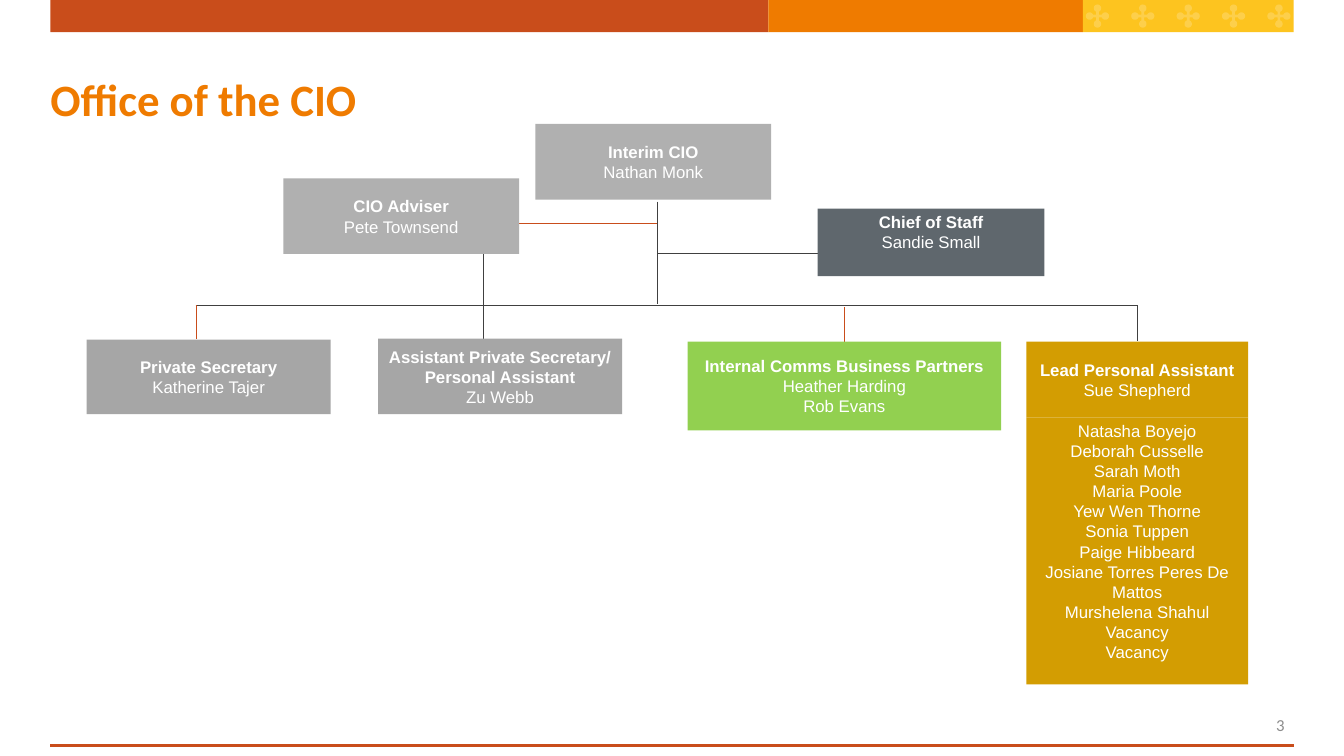
import math
from dataclasses import dataclass

from lxml import etree
from pptx import Presentation
from pptx import util as u
from pptx.dml.color import RGBColor
from pptx.enum import shapes, text
from pptx.oxml import ns

RUST = RGBColor(0xC9, 0x4D, 0x1B)
ORANGE = RGBColor(0xEF, 0x7B, 0x00)
YELLOW = RGBColor(0xFD, 0xC4, 0x1F)
WHITE = RGBColor(0xFF, 0xFF, 0xFF)
SILVER = RGBColor(0xB0, 0xB0, 0xB0)
GREY = RGBColor(0xA6, 0xA6, 0xA6)
NUMBER_GREY = RGBColor(0x8C, 0x8C, 0x8C)
SLATE = RGBColor(0x5F, 0x67, 0x6D)
LINE_GREY = RGBColor(0x40, 0x40, 0x40)
GREEN = RGBColor(0x92, 0xD0, 0x50)
GOLD = RGBColor(0xD3, 0x9D, 0x02)

GRID = u.Inches(0.01)  # one column or row of the page grid
PAGE_COLUMNS, PAGE_ROWS = 1333, 750
MARGIN, CONTENT_COLUMNS = 50, 1233


@dataclass
class Box:
    """A region measured in grid columns and rows."""
    left: float
    top: float
    width: float
    height: float

    def inner(self, column, row, columns, rows):
        return Box(self.left + column, self.top + row, columns, rows)

    def lengths(self):
        return [round(v * GRID) for v in (self.left, self.top, self.width, self.height)]


def add_text(frame, lines, size=12, font="Arial", color=WHITE, bold_lines=0,
             align=text.PP_ALIGN.CENTER, anchor=text.MSO_ANCHOR.MIDDLE):
    """Write one paragraph per line; the first bold_lines are bold."""
    frame.word_wrap = True
    frame.vertical_anchor = anchor
    for index, line in enumerate(lines):
        para = frame.paragraphs[0] if index == 0 else frame.add_paragraph()
        para.alignment = align
        span = para.add_run()
        span.text = line
        span.font.size = u.Pt(size)
        span.font.name = font
        span.font.bold = index < bold_lines
        span.font.color.rgb = color


def paint(shape, color):
    shape.shadow.inherit = False
    shape.fill.solid()
    shape.fill.fore_color.rgb = color
    shape.line.fill.background()


def add_block(page, box, color):
    block = page.shapes.add_shape(shapes.MSO_SHAPE.RECTANGLE, *box.lengths())
    paint(block, color)
    return block


def add_line(page, box, color, width=0.5):
    """Draw a straight line from the box's top left to its bottom right."""
    left, top, across, down = box.lengths()
    line = page.shapes.add_connector(
        shapes.MSO_CONNECTOR.STRAIGHT, left, top, left + across, top + down)
    line.line.color.rgb = color
    line.line.width = u.Pt(width)
    etree.SubElement(line._element.spPr, ns.qn("a:effectLst"))


def add_cross(page, center_x, center_y, reach=7.8, radius=3.7, arm=1.3):
    """Draw a pale cross whose four arms end in round lobes."""
    gap = math.asin(arm / radius)
    steps = 16
    points = []
    for quarter in range(4):
        turn = quarter * math.pi / 2
        lobe = [(arm, -arm)]
        for step in range(steps + 1):
            angle = -math.pi + gap + step * 2 * (math.pi - gap) / steps
            lobe.append((reach + radius * math.cos(angle), radius * math.sin(angle)))
        for x, y in lobe:
            points.append((
                round((center_x + x * math.cos(turn) - y * math.sin(turn)) * GRID),
                round((center_y + x * math.sin(turn) + y * math.cos(turn)) * GRID)))
    builder = page.shapes.build_freeform(*points[0])
    builder.add_line_segments(points[1:], close=True)
    cross = builder.convert_to_shape()
    paint(cross, WHITE)
    tint = cross._element.spPr.find(".//" + ns.qn("a:srgbClr"))
    etree.SubElement(tint, ns.qn("a:alpha"), val="20000")


def add_banner(page, box):
    """Three colour bands, the last one with a row of crosses."""
    column = 0
    for columns, color in ((712, RUST), (312, ORANGE), (209, YELLOW)):
        band = box.inner(column, 0, columns, box.height)
        add_block(page, band, color)
        column += columns
    for index in range(5):
        add_cross(page, band.left + 14.5 + 45 * index, band.top + band.height / 2)


def add_title(page, box, wording):
    title = page.shapes.title
    title.left, title.top, title.width, title.height = box.lengths()
    frame = title.text_frame
    frame.margin_left = frame.margin_right = frame.margin_top = frame.margin_bottom = 0
    add_text(frame, [wording], size=32, font="Calibri", color=ORANGE,
             bold_lines=1, align=text.PP_ALIGN.LEFT)


def add_footer(page, box, number):
    add_line(page, box.inner(0, box.height, box.width, 0), RUST, 2.25)
    number_box = page.shapes.add_textbox(
        *box.inner(box.width - 116, 0, 117, box.height).lengths())
    add_text(number_box.text_frame, [number], font="Calibri",
             color=NUMBER_GREY, align=text.PP_ALIGN.RIGHT)


def add_role(page, box, color, lines, bold_lines=1, from_top=False):
    block = add_block(page, box, color)
    anchor = text.MSO_ANCHOR.MIDDLE
    if from_top:
        anchor = text.MSO_ANCHOR.TOP
        block.text_frame.margin_top = u.Inches(0.03)
    add_text(block.text_frame, lines, bold_lines=bold_lines, anchor=anchor)


def add_org_chart(page, box):
    # Connectors: column, row, columns, rows, colour
    trunk, bar = 566, 180
    connectors = [
        (trunk, 77, 0, 102, LINE_GREY),
        (108, bar, 934, 0, LINE_GREY),
        (109, bar, 0, 33, RUST),
        (393.5, 129, 0, 84, LINE_GREY),
        (751, bar + 2, 0, 34, RUST),
        (1042, bar, 0, 35, LINE_GREY),
        (trunk, 128, 159, 0, LINE_GREY),
        (359, 99, trunk - 359, 0, RUST),
    ]
    for *place, color in connectors:
        add_line(page, box.inner(*place), color)

    # Leadership
    add_role(page, box.inner(445, 0, 234, 75), SILVER, ["Interim CIO", "Nathan Monk"])
    add_role(page, box.inner(195, 54, 234, 75), SILVER, ["CIO Adviser", "Pete Townsend"])
    add_role(page, box.inner(725, 84, 225, 67), SLATE,
             ["Chief of Staff", "Sandie Small"], from_top=True)

    # Office staff
    add_role(page, box.inner(0, 214, 242, 74), GREY,
             ["Private Secretary", "Katherine Tajer"])
    add_role(page, box.inner(289, 213, 242, 75), GREY,
             ["Assistant Private Secretary/", "Personal Assistant", "Zu Webb"],
             bold_lines=2)
    add_role(page, box.inner(596, 216, 311, 88), GREEN,
             ["Internal Comms Business Partners", "Heather Harding", "Rob Evans"])

    # Personal assistants
    add_role(page, box.inner(932, 216, 220, 75), GOLD,
             ["Lead Personal Assistant", "Sue Shepherd"])
    assistants = [
        "Natasha Boyejo", "Deborah Cusselle", "Sarah Moth", "Maria Poole",
        "Yew Wen Thorne", "Sonia Tuppen", "Paige Hibbeard",
        "Josiane Torres Peres De Mattos", "Murshelena Shahul", "Vacancy", "Vacancy",
    ]
    add_role(page, box.inner(932, 291, 220, 265), GOLD, assistants,
             bold_lines=0, from_top=True)


def main():
    deck = Presentation()
    deck.slide_width = PAGE_COLUMNS * GRID
    deck.slide_height = PAGE_ROWS * GRID
    title_only = deck.slide_layouts[5]
    page = deck.slides.add_slide(title_only)
    add_banner(page, Box(MARGIN, 0, CONTENT_COLUMNS, 32))
    add_title(page, Box(MARGIN, 48, CONTENT_COLUMNS, 100), "Office of the CIO")
    add_org_chart(page, Box(86, 123, 1152, 556))
    add_footer(page, Box(MARGIN, 698, CONTENT_COLUMNS, 42), "3")
    deck.save("out.pptx")


if __name__ == "__main__":
    main()
